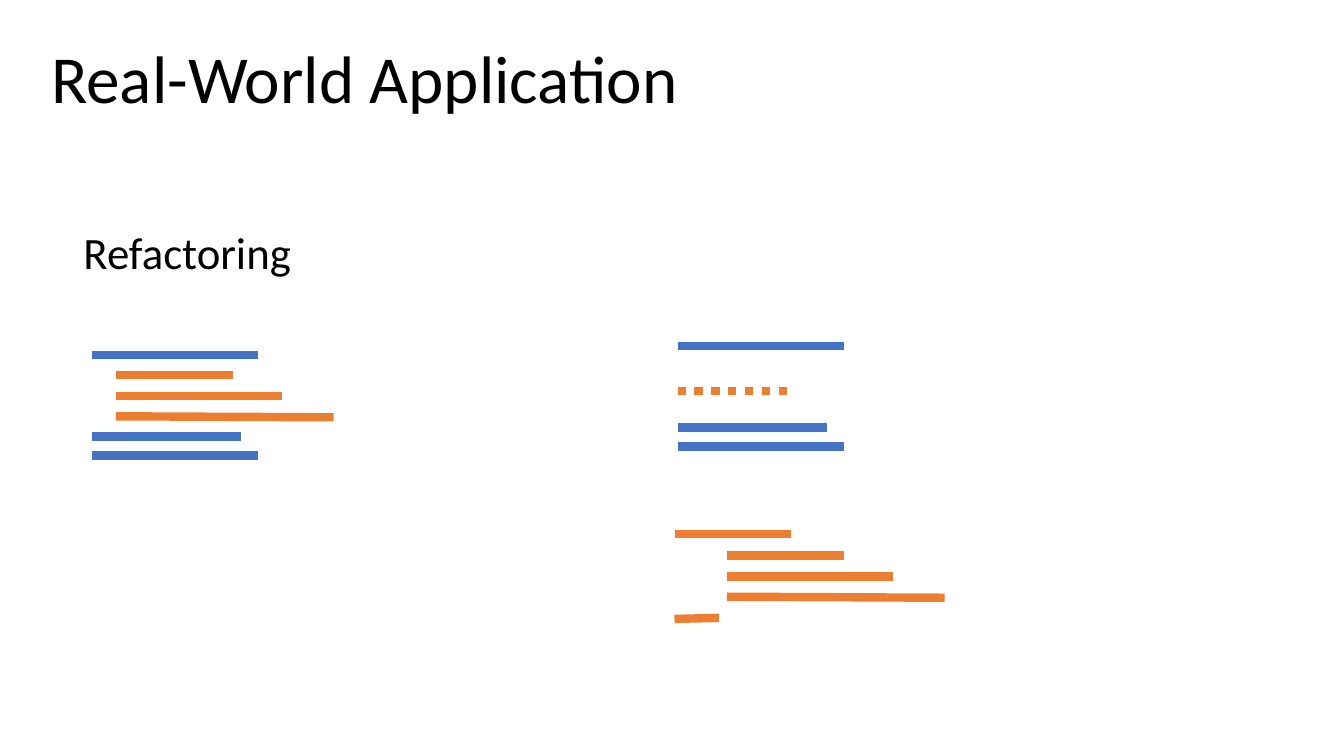
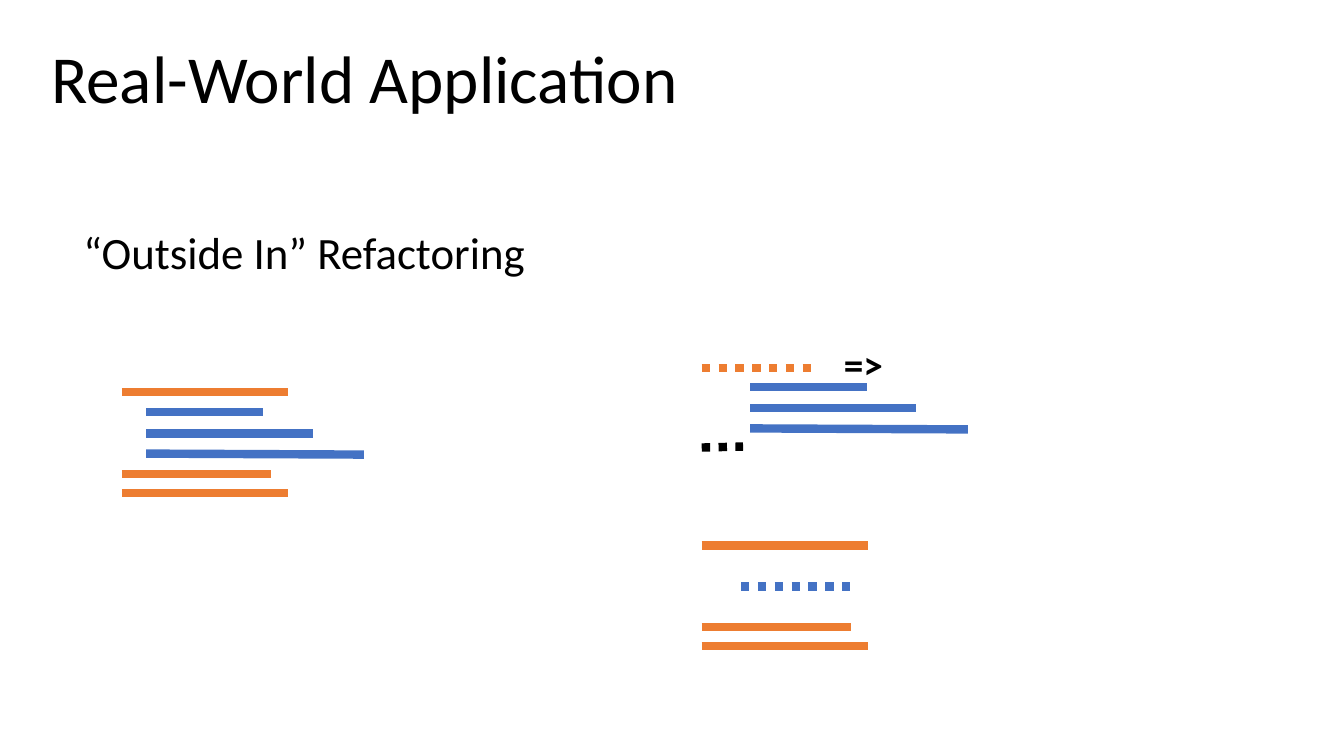
import pptx
import pptx.dml.color
import pptx.enum.dml
import pptx.enum.shapes
import pptx.enum.text
import pptx.oxml.ns
import pptx.util
from lxml import etree

PX = 9144  # EMU per px, 100 px to the inch
BLUE = pptx.dml.color.RGBColor(0x44, 0x72, 0xC4)
ORANGE = pptx.dml.color.RGBColor(0xED, 0x7D, 0x31)
BLACK = pptx.dml.color.RGBColor(0, 0, 0)
SOLID = pptx.enum.dml.MSO_LINE.SOLID
DOTTED = pptx.enum.dml.MSO_LINE.ROUND_DOT

# Bars of pseudo code: x offset, y offset, width, drop
OUTER = [(0, 0, 165, 0), (0, 81, 148, 0), (0, 100, 165, 0)]
INNER = [(0, 0, 116, 0), (0, 21, 165, 0), (0, 41, 216, 1)]
CALL = [(0, 0, 116, 0)]
CLOSING = [(0, 0, 44, -1)]
ELLIPSIS = [(0, 0, 41, -1)]

TITLE = ("Real-World Application", (41, 31, 1230, 91), {"size": pptx.util.Pt(48)})
SUBTITLE_BOX = (73, 218, 844, 64)
SUBTITLE_FORMAT = {"size": pptx.util.Pt(32)}
ARROW = ("=>", (827, 333, 119, 57), {"size": pptx.util.Pt(28), "bold": True})

# Per slide: texts, then bar groups as bars, left, top, colour, dash
SLIDES = [
    (
        [TITLE, ("Refactoring", SUBTITLE_BOX, SUBTITLE_FORMAT)],
        [
            (OUTER, 91, 352, BLUE, SOLID),
            (INNER, 115, 372, ORANGE, SOLID),
            (OUTER, 672, 343, BLUE, SOLID),
            (CALL, 672, 388, ORANGE, DOTTED),
            (CALL, 669, 530, ORANGE, SOLID),
            (INNER, 721, 551, ORANGE, SOLID),
            (CLOSING, 669, 614, ORANGE, SOLID),
        ],
    ),
    (
        [TITLE, ("“Outside In” Refactoring", SUBTITLE_BOX, SUBTITLE_FORMAT), ARROW],
        [
            (OUTER, 121, 389, ORANGE, SOLID),
            (INNER, 145, 409, BLUE, SOLID),
            (CALL, 696, 365, ORANGE, DOTTED),
            (INNER, 744, 384, BLUE, SOLID),
            (ELLIPSIS, 696, 444, BLACK, DOTTED),
            (OUTER, 696, 541, ORANGE, SOLID),
            (CALL, 735, 582, BLUE, DOTTED),
        ],
    ),
]


def add_text(slide, text, box, font_format):
    frame = slide.shapes.add_textbox(*(length * PX for length in box)).text_frame
    frame.word_wrap = True
    frame.auto_size = pptx.enum.text.MSO_AUTO_SIZE.SHAPE_TO_FIT_TEXT
    run = frame.paragraphs[0].add_run()
    run.text = text
    run.font.color.rgb = BLACK
    for attribute, value in {"name": "Calibri", **font_format}.items():
        setattr(run.font, attribute, value)


def add_bars(slide, bars, left, top, color, dash):
    for dx, dy, width, drop in bars:
        x, y = left + dx, top + dy
        bar = slide.shapes.add_connector(
            pptx.enum.shapes.MSO_CONNECTOR.STRAIGHT,
            x * PX, y * PX, (x + width) * PX, (y + drop) * PX,
        )
        bar.line.color.rgb = color
        bar.line.width = pptx.util.Pt(6)
        bar.line.dash_style = dash
        etree.SubElement(bar.element.spPr, pptx.oxml.ns.qn("a:effectLst"))


deck = pptx.Presentation()
deck.slide_width = 1333 * PX
deck.slide_height = 750 * PX

for texts, bar_groups in SLIDES:
    slide = deck.slides.add_slide(deck.slide_layouts[6])
    for text in texts:
        add_text(slide, *text)
    for bar_group in bar_groups:
        add_bars(slide, *bar_group)

deck.save("out.pptx")
